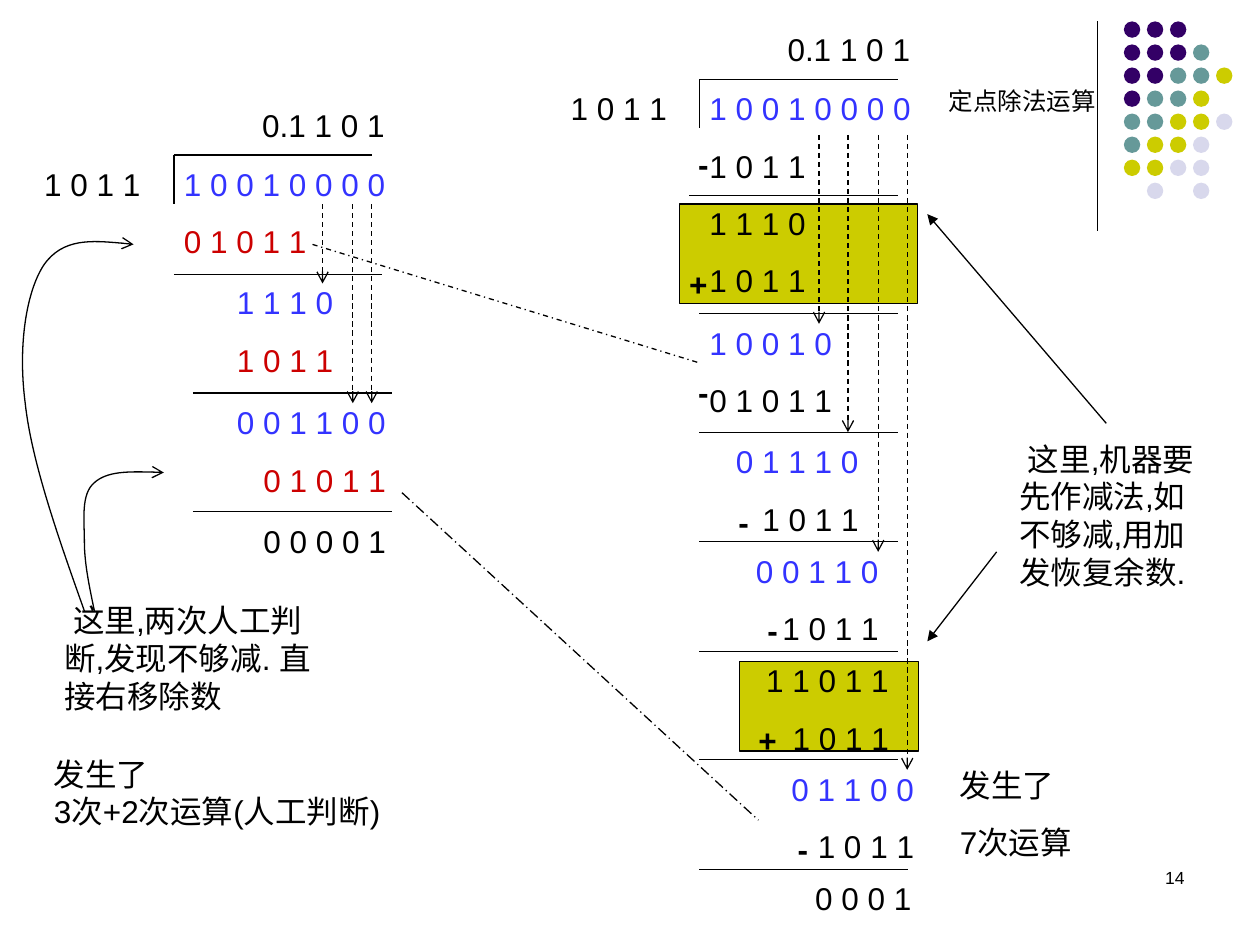
from dataclasses import dataclass

from lxml.etree import SubElement
from pptx import Presentation
from pptx.dml.color import RGBColor
from pptx.enum.dml import MSO_LINE as DASH
from pptx.enum.shapes import MSO_CONNECTOR as CONN, MSO_SHAPE as SHAPE
from pptx.enum.text import MSO_ANCHOR, MSO_AUTO_SIZE as FIT, PP_ALIGN as ALIGN
from pptx.oxml.ns import qn
from pptx.util import Inches, Pt


@dataclass(frozen=True)
class Theme:
    """Colours, type sizes and measures of the slide."""
    font: str = "Arial"
    black: str = "000000"
    blue: str = "3333FF"
    red: str = "CC0000"
    purple: str = "330066"
    teal: str = "669999"
    olive: str = "CCCC00"
    pale: str = "D8D8EC"
    body: int = 18
    title: int = 14
    number: int = 10
    line: float = 0.75
    gap: float = 11.2
    space: float = 0.07


T = Theme()
DOT_ROWS = ["PPP", "PPPT", "PPTTO", "PTTO", "TTOOL", "TOOL", "OOLL", " L L"]
DOT_COLOURS = {"P": T.purple, "T": T.teal, "O": T.olive, "L": T.pale}
PADDED = (0.1, 0.05)

# x, y, width, then (indent in spaces, digits, colour) for each row
MANUAL_DIVISION = [
    (2.01, 0.84, 1.42, [(1, "0.1 1 0 1", T.black)]),
    (0.35, 1.31, 0.94, [(0, "1 0 1 1", T.black)]),
    (1.46, 1.31, 2.05, [(0, "1 0 0 1 0 0 0 0", T.blue), (0, "0 1 0 1 1", T.red)]),
    (1.46, 2.25, 2.05, [(6, "1 1 1 0", T.blue), (6, "1 0 1 1", T.red)]),
    (1.46, 3.2, 2.05, [(6, "0 0 1 1 0 0", T.blue), (9, "0 1 0 1 1", T.red)]),
    (1.46, 4.14, 2.05, [(9, "0 0 0 0 1", T.black)]),
]
MACHINE_DIVISION = [
    (6.18, 0.24, 1.42, [(1, "0.1 1 0 1", T.black)]),
    (4.53, 0.71, 0.94, [(0, "1 0 1 1", T.black)]),
    (5.63, 0.71, 1.89, [(0, "1 0 0 1 0 0 0 0", T.blue), (0, "1 0 1 1", T.black)]),
    (5.63, 1.62, 1.42, [(0, "1 1 1 0", T.black), (0, "1 0 1 1", T.black)]),
    (5.63, 2.57, 1.26, [(0, "1 0 0 1 0", T.blue), (0, "0 1 0 1 1", T.black)]),
    (5.63, 3.51, 1.42, [(3, "0 1 1 1 0", T.blue), (6, "1 0 1 1", T.black)]),
    (5.79, 4.38, 1.34, [(3, "0 0 1 1 0", T.blue), (6, "1 0 1 1", T.black)]),
    (5.87, 5.25, 1.42, [(3, "1 1 0 1 1", T.black), (6, "1 0 1 1", T.black)]),
    (5.79, 6.11, 1.89, [(7, "0 1 1 0 0", T.blue), (10, "1 0 1 1", T.black)]),
    (5.63, 6.98, 2.05, [(12, "0 0 0 1", T.black)]),
]
SIGNS = [(5.47, 1.15, "-"), (5.47, 2.1, "+"), (5.47, 2.96, "-"), (5.79, 3.99, "-"),
         (6.02, 4.85, "-"), (6.02, 5.72, "+"), (6.26, 6.59, "-")]
RULES = [(1.38, 2.95, 1.23), (1.38, 3.03, 2.18), (1.53, 3.11, 3.12), (1.53, 3.11, 4.06),
         (5.55, 7.13, 0.63), (5.47, 7.13, 1.55), (5.55, 7.13, 2.49), (5.55, 7.13, 3.43),
         (5.55, 7.13, 4.3), (5.55, 7.13, 5.17), (5.55, 7.13, 6.03), (5.55, 7.21, 6.9)]
BRING_DOWNS = [(2.56, 1.62, 2.25), (2.8, 1.62, 3.2), (2.95, 1.62, 3.2), (6.5, 1.07, 2.57),
               (6.73, 1.07, 3.43), (6.97, 1.07, 4.38), (7.2, 1.07, 6.11)]
SKIP_CURVES = [
    [(0.67, 4.85), (0.46, 4.26), (0.25, 3.66), (0.2, 3.2), (0.14, 2.74),
     (0.21, 2.31), (0.35, 2.1), (0.5, 1.89), (0.78, 1.91), (1.06, 1.94)],
    [(0.75, 4.85), (0.71, 4.66), (0.67, 4.47), (0.67, 4.3), (0.67, 4.13),
     (0.64, 3.92), (0.75, 3.83), (0.85, 3.74), (1.07, 3.74), (1.3, 3.75)],
]


def style_line(line, dash=None, head=None):
    """Give a line its colour, width, dash and arrowhead."""
    line.color.rgb = RGBColor.from_string(T.black)
    line.width = Pt(T.line)
    if dash:
        line.dash_style = dash
    if head:
        SubElement(line._get_or_add_ln(), qn("a:tailEnd"), type=head)


def add_line(s, x1, y1, x2, y2, dash=None, head=None):
    """Draw a straight connector."""
    c = s.shapes.add_connector(CONN.STRAIGHT, *map(Inches, (x1, y1, x2, y2)))
    style_line(c.line, dash, head)
    SubElement(c._element.spPr, qn("a:effectLst"))


def add_curve(s, points):
    """Draw an open arrow along cubic Bezier control points."""
    start, *rest = [(Inches(x), Inches(y)) for x, y in points]
    builder = s.shapes.build_freeform(*start)
    builder.add_line_segments(rest, close=False)
    sp = builder.convert_to_shape()
    sp.shadow.inherit = False
    sp.fill.background()
    style_line(sp.line, head="arrow")
    path = next(sp._element.iter(qn("a:path")))
    segments = path.findall(qn("a:lnTo"))
    for i in range(0, len(segments), 3):
        cubic = SubElement(path, qn("a:cubicBezTo"))
        for segment in segments[i:i + 3]:
            cubic.append(segment[0])
            path.remove(segment)


def add_filled(shapes, kind, x, y, w, h, colour, outlined=False):
    """Add a flat preset shape."""
    sp = shapes.add_shape(kind, *map(Inches, (x, y, w, h)))
    sp.shadow.inherit = False
    sp.fill.solid()
    sp.fill.fore_color.rgb = RGBColor.from_string(colour)
    if outlined:
        style_line(sp.line)
    else:
        sp.line.fill.background()


def format_text(tf, rows, size=T.body, pad=(0, 0), wrap=True, gap=T.gap, bold=False,
                align=ALIGN.LEFT):
    """Fill a text frame with (indent, text, colour) rows."""
    tf.word_wrap = wrap
    tf.auto_size = FIT.NONE
    tf.vertical_anchor = MSO_ANCHOR.TOP
    tf.margin_left = tf.margin_right = Inches(pad[0])
    tf.margin_top = tf.margin_bottom = Inches(pad[1])
    for i, (indent, text, colour) in enumerate(rows):
        p = tf.add_paragraph() if i else tf.paragraphs[0]
        p.text = text
        p.alignment = align
        p.space_before = Pt(gap if i else 0)
        if indent:
            p._p.get_or_add_pPr().set("indent", str(Inches(indent * T.space)))
        p.font.name = T.font
        p.font.size = Pt(size)
        p.font.bold = bold
        p.font.color.rgb = RGBColor.from_string(colour)


def add_text(s, x, y, w, h, rows, **style):
    """Add a text box."""
    format_text(s.shapes.add_textbox(*map(Inches, (x, y, w, h))).text_frame, rows, **style)


def add_title(s, text):
    """Place and format the title placeholder."""
    sp = s.shapes.title
    sp.left, sp.top, sp.width, sp.height = map(Inches, (7.53, 0.68, 1.17, 0.23))
    format_text(sp.text_frame, [(0, text, T.black)], size=T.title, wrap=False)


def add_dots(s):
    """Draw the corner pattern of dots."""
    group = s.shapes.add_group_shape()
    pitch = 1.28 / 7
    for row, letters in enumerate(DOT_ROWS):
        for col, letter in enumerate(letters):
            if letter in DOT_COLOURS:
                add_filled(group.shapes, SHAPE.OVAL, 8.92 + col * pitch, 0.17 + row * pitch,
                           0.13, 0.13, DOT_COLOURS[letter])


def add_division(s):
    """Draw both long divisions with their signs and rules."""
    for x, y, w, rows in MANUAL_DIVISION + MACHINE_DIVISION:
        add_text(s, x, y, w, 0.3 if len(rows) == 1 else 0.76, rows)
    for x, y, sign in SIGNS:
        add_text(s, x, y, 0.16, 0.3, [(int(sign == "-"), sign, T.black)], bold=True)
    for x1, x2, y in RULES:
        add_line(s, x1, y, x2, y)
    for x, y in [(1.38, 1.23), (5.55, 0.63)]:
        add_line(s, x, y, x, y + 0.39)
    for x, y1, y2 in BRING_DOWNS:
        add_line(s, x, y1, x, y2, DASH.DASH, "arrow")


def add_notes(s):
    """Add the remarks and the arrows that tie them to the steps."""
    add_text(s, 0.51, 4.77, 2.05, 0.9,
             [(1, "这里,两次人工判断,发现不够减. 直接右移除数", T.black)])
    add_text(s, 7.99, 3.44, 1.73, 1.3,
             [(1, "这里,机器要先作减法,如不够减,用加发恢复余数.", T.black)], pad=PADDED)
    add_text(s, 7.52, 6.03, 1.53, 0.86,
             [(0, "发生了", T.black), (0, "7次运算", T.black)], pad=PADDED)
    add_text(s, 0.33, 5.94, 3.15, 0.7,
             [(0, "发生了", T.black), (0, "3次+2次运算(人工判断)", T.black)],
             pad=PADDED, wrap=False, gap=0)
    for points in SKIP_CURVES:
        add_curve(s, points)
    add_line(s, 2.48, 1.94, 5.55, 2.88, DASH.DASH_DOT)
    add_line(s, 3.19, 3.91, 6.02, 6.51, DASH.LONG_DASH_DOT)
    add_line(s, 8.78, 3.36, 7.36, 1.7, head="triangle")
    add_line(s, 7.91, 4.38, 7.36, 5.09, head="triangle")


def main():
    """Build the slide and save it."""
    prs = Presentation()
    prs.slide_width, prs.slide_height = Inches(10), Inches(7.5)
    s = prs.slides.add_slide(prs.slide_layouts[5])
    add_title(s, "定点除法运算")
    add_line(s, 8.71, 0.17, 8.71, 1.83)
    add_dots(s)
    add_filled(s.shapes, SHAPE.RECTANGLE, 5.87, 5.25, 1.42, 0.71, T.olive, outlined=True)
    add_filled(s.shapes, SHAPE.RECTANGLE, 5.39, 1.62, 1.89, 0.79, T.olive, outlined=True)
    add_division(s)
    add_notes(s)
    add_text(s, 7.17, 6.83, 2.33, 0.5, [(0, "14", T.black)], size=T.number, pad=PADDED,
             align=ALIGN.RIGHT)
    prs.save("out.pptx")


if __name__ == "__main__":
    main()
